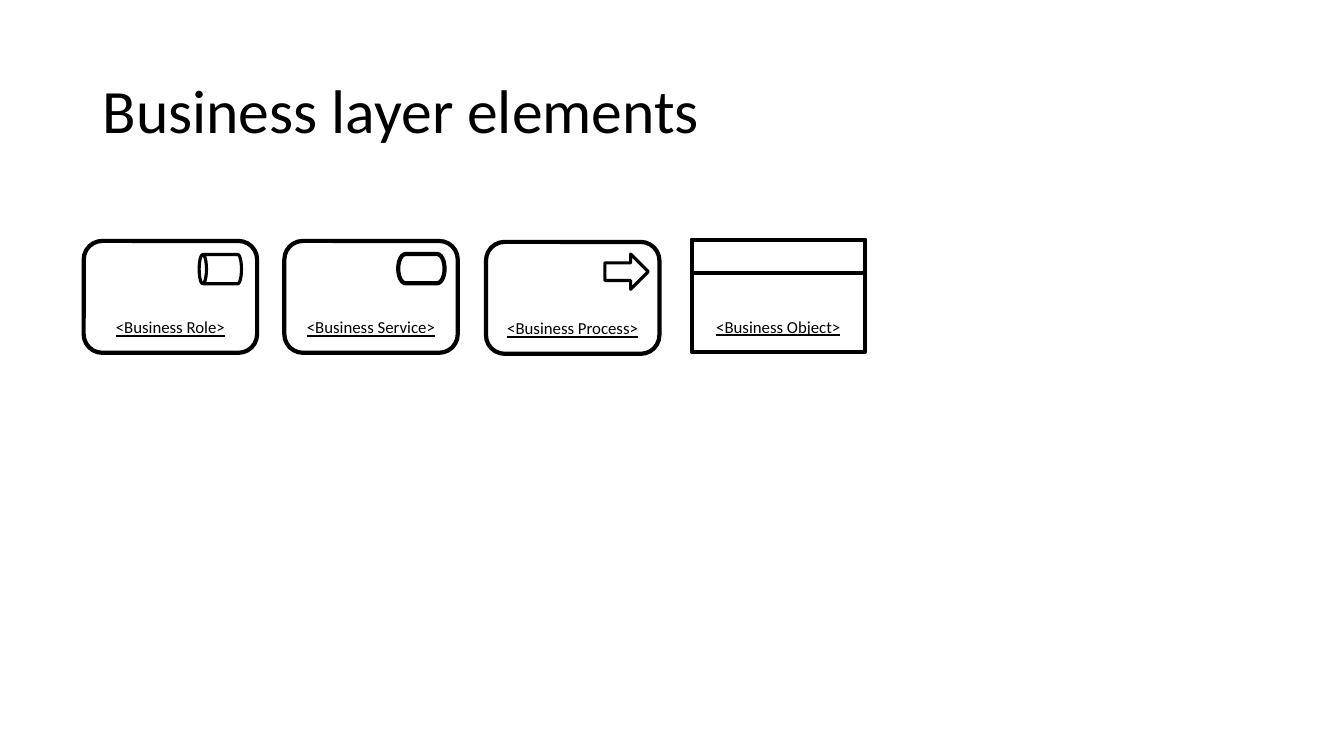
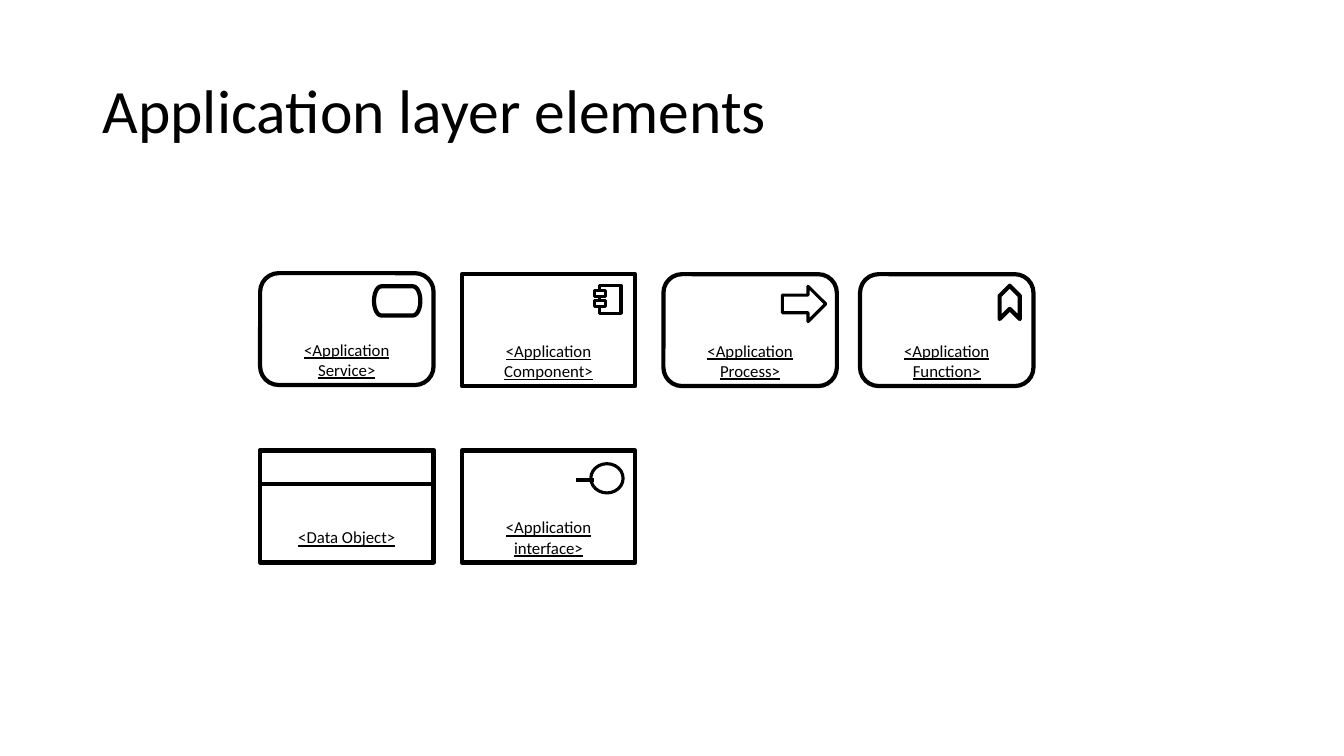
from pptx import Presentation
from pptx.dml.color import RGBColor
from pptx.enum.shapes import MSO_CONNECTOR, MSO_SHAPE as SHAPE
from pptx.enum.text import MSO_ANCHOR, PP_ALIGN
from pptx.util import Inches, Pt
from lxml import etree

COLORS = {"ink": "000000", "paper": "FFFFFF"}
INK, PAPER = (RGBColor.from_string(COLORS[c]) for c in ("ink", "paper"))
FONT = "Calibri"
CARD_W, CARD_H = 1.72, 1.11
BAND_H = 0.33
THIN, THICK = 2.25, 3

# Icon parts: preset, left and top within the card, width, height, rotation, line, filled
ICONS = {
    "role": [(SHAPE.CAN, 1.21, 0.07, 0.29, 0.42, 270, THIN, False)],
    "service": [(SHAPE.FLOWCHART_TERMINATOR, 1.13, 0.13, 0.46, 0.29, 0, THICK, False)],
    "process": [(SHAPE.RIGHT_ARROW, 1.18, 0.12, 0.43, 0.35, 0, THIN, False)],
    "function": [(SHAPE.CHEVRON, 1.32, 0.18, 0.33, 0.2, 270, THICK, False)],
    "object": [(SHAPE.RECTANGLE, 0, 0, CARD_W, BAND_H, 0, THICK, False)],
    "component": [(SHAPE.RECTANGLE, 1.37, 0.11, 0.21, 0.28, 0, THIN, False)]
    + [(SHAPE.RECTANGLE, 1.32, top, 0.11, 0.06, 0, THIN, True) for top in (0.16, 0.26)],
    "interface": [(SHAPE.OVAL, 1.28, 0.13, 0.32, 0.29, 0, THIN, False)],
}
ROUNDED = ("role", "service", "process", "function")

# Cards: label, icon, left, top, label lines
SLIDES = [
    ("Business layer elements", [
        ("<Business Role>", "role", 0.83, 2.39, 1),
        ("<Business Service>", "service", 2.82, 2.39, 1),
        ("<Business Process>", "process", 4.82, 2.4, 1),
        ("<Business Object>", "object", 6.86, 2.38, 1),
    ]),
    ("Application layer elements", [
        ("<Application Service>", "service", 2.58, 2.71, 2),
        ("<Application Component>", "component", 4.58, 2.72, 2),
        ("<Application Process>", "process", 6.58, 2.72, 2),
        ("<Application Function>", "function", 8.53, 2.72, 2),
        ("<Data Object>", "object", 2.58, 4.47, 1),
        ("<Application interface>", "interface", 4.58, 4.47, 2),
    ]),
]


def add_outline(shapes, preset, x, y, w, h, rotation=0, line=THICK, filled=False):
    sp = shapes.add_shape(preset, Inches(x), Inches(y), Inches(w), Inches(h))
    sp.rotation = rotation
    sp.shadow.inherit = False
    sp.line.color.rgb = INK
    sp.line.width = Pt(line)
    if filled:
        sp.fill.solid()
        sp.fill.fore_color.rgb = PAPER
    else:
        sp.fill.background()
    return sp


def set_text(tf, text, size, anchor):
    tf.word_wrap = True
    tf.vertical_anchor = anchor
    p = tf.paragraphs[0]
    p.text = text
    p.font.name = FONT
    p.font.size = Pt(size)
    p.font.color.rgb = INK
    return p


prs = Presentation()
prs.slide_width, prs.slide_height = Inches(13.33), Inches(7.5)

for title, cards in SLIDES:
    s = prs.slides.add_slide(prs.slide_layouts[6])

    # Title
    box = s.shapes.add_textbox(Inches(0.92), Inches(0.4), Inches(11.5), Inches(1.45))
    p = set_text(box.text_frame, title, 44, MSO_ANCHOR.MIDDLE)
    p.line_spacing = 0.9

    for label, icon, x, y, lines in cards:
        # Card with its label near the lower edge
        shapes = s.shapes.add_group_shape().shapes
        preset = SHAPE.ROUNDED_RECTANGLE if icon in ROUNDED else SHAPE.RECTANGLE
        card = add_outline(shapes, preset, x, y, CARD_W, CARD_H)
        tf = card.text_frame
        p = set_text(tf, label, 12, MSO_ANCHOR.BOTTOM)
        p.alignment = PP_ALIGN.CENTER
        p.font.underline = True
        # Rounded cards already inset their text by the corner
        corner = 0.05 if icon in ROUNDED else 0
        tf.margin_bottom = Inches((0.15 if lines == 1 else 0.05) - corner)

        # Icon in the upper right corner
        for part, dx, dy, *rest in ICONS[icon]:
            add_outline(shapes, part, x + dx, y + dy, *rest)
        if icon == "interface":
            stem = shapes.add_connector(MSO_CONNECTOR.STRAIGHT, Inches(x + 1.13), Inches(y + 0.29),
                                        Inches(x + 1.31), Inches(y + 0.29))
            stem.line.color.rgb = INK
            stem.line.width = Pt(THICK)
            etree.SubElement(stem.element.spPr,
                             "{http://schemas.openxmlformats.org/drawingml/2006/main}effectLst")

prs.save("out.pptx")
